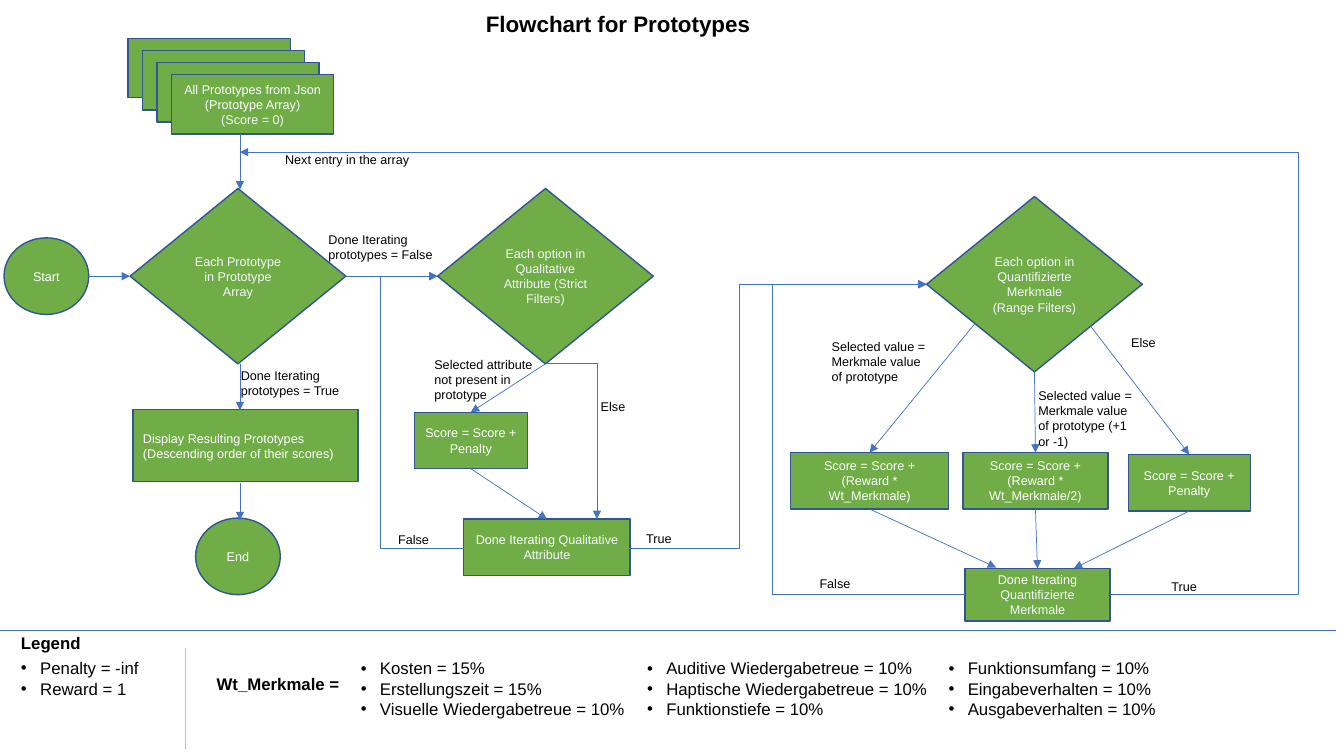
from dataclasses import dataclass
from typing import Optional

from lxml.etree import SubElement
from pptx import Presentation
from pptx.dml.color import RGBColor
from pptx.enum.shapes import MSO_CONNECTOR, MSO_SHAPE
from pptx.enum.text import MSO_ANCHOR, MSO_AUTO_SIZE, PP_ALIGN
from pptx.oxml.ns import qn
from pptx.util import Inches, Pt


@dataclass(frozen=True)
class Theme:
    font: str = "Arial"
    node: str = "70AD47"
    border: str = "325491"
    arrow: str = "4472C4"
    divider: str = "BFBFBF"
    white: str = "FFFFFF"
    pale: str = "F4F7FA"
    black: str = "000000"
    small: float = 9
    legend: float = 12
    title: float = 16


@dataclass(frozen=True)
class Node:
    name: str
    kind: MSO_SHAPE
    x: float
    y: float
    w: float
    h: float
    text: str = ""
    pale_text: str = ""
    align: PP_ALIGN = PP_ALIGN.CENTER


@dataclass(frozen=True)
class End:
    """A named node's side (0 top, 1 left, 2 bottom, 3 right) or a free point."""
    x: float = 0
    y: float = 0
    node: str = ""
    side: int = 0


@dataclass(frozen=True)
class Elbow:
    start: tuple[float, float]
    end: tuple[float, float]
    via_x: float


@dataclass(frozen=True)
class Label:
    text: str
    x: float
    y: float
    w: float
    h: float = 0.25
    size: float = Theme.small
    bold: bool = False
    bullet: bool = False


T = Theme()
RECT, DIAMOND, OVAL = MSO_SHAPE.RECTANGLE, MSO_SHAPE.DIAMOND, MSO_SHAPE.OVAL
DIAMOND_SIZE, CIRCLE_SIZE, STACK_SIZE = (2.14, 1.74), (0.84, 0.76), (1.61, 0.59)
SPINE_X = 2.38

STACK = [Node(f"sheet {i}", RECT, 1.27 + 0.143 * i, 0.38 + 0.12 * i, *STACK_SIZE)
         for i in range(3)]
STACK.append(Node("prototypes", RECT, 1.7, 0.74, *STACK_SIZE,
                  "All Prototypes from Json\n(Prototype Array)\n", "(Score = 0)"))

NODES = [
    Node("start", OVAL, 0.04, 2.36, *CIRCLE_SIZE, "Start"),
    Node("end", OVAL, 1.94, 5.14, *CIRCLE_SIZE, "End"),
    Node("each prototype", DIAMOND, 1.29, 1.87, *DIAMOND_SIZE,
         pale_text="Each Prototype in Prototype Array"),
    Node("qualitative", DIAMOND, 4.34, 1.87, *DIAMOND_SIZE,
         pale_text="Each option in Qualitative Attribute (Strict Filters)"),
    Node("quantified", DIAMOND, 9.19, 1.95, *DIAMOND_SIZE,
         pale_text="Each option in Quantifizierte Merkmale (Range Filters)"),
    Node("display", RECT, 1.32, 4.06, 2.23, 0.72,
         "Display Resulting Prototypes (Descending order of their scores)",
         align=PP_ALIGN.LEFT),
    Node("strict penalty", RECT, 4.11, 4.09, 1.12, 0.56, "Score = Score + Penalty"),
    Node("qualitative done", RECT, 4.6, 5.15, 1.65, 0.56,
         "Done Iterating ", "Qualitative Attribute"),
    Node("full reward", RECT, 7.84, 4.49, 1.57, 0.56,
         "Score = Score + (Reward * Wt_Merkmale)"),
    Node("half reward", RECT, 9.55, 4.49, 1.44, 0.56,
         "Score = Score + (Reward * Wt_Merkmale/2)"),
    Node("range penalty", RECT, 11.19, 4.51, 1.21, 0.56, "Score = Score + Penalty"),
    Node("quantified done", RECT, 9.57, 5.64, 1.44, 0.52,
         "Done Iterating ", "Quantifizierte Merkmale"),
]

ARROWS = [
    (End(SPINE_X, 1.33), End(SPINE_X, 1.88)),
    (End(SPINE_X, 3.61), End(SPINE_X, 4.07)),
    (End(SPINE_X, 4.79), End(SPINE_X, 5.16)),
    (End(0.88, 2.74), End(node="each prototype", side=1)),
    (End(node="each prototype", side=3), End(node="qualitative", side=1)),
    (End(node="qualitative", side=2), End(node="strict penalty")),
    (End(node="strict penalty", side=2), End(node="qualitative done")),
    (End(9.67, 3.21), End(node="full reward")),
    (End(node="quantified", side=2), End(node="half reward")),
    (End(10.82, 3.24), End(node="range penalty")),
    (End(node="full reward", side=2), End(9.88, 5.63)),
    (End(node="half reward", side=2), End(node="quantified done")),
    (End(node="range penalty", side=2), End(10.65, 5.64)),
]

ELBOWS = [
    Elbow((4.6, 5.44), (4.34, 2.74), 3.77),
    Elbow((6.24, 5.44), (9.19, 2.82), 7.33),
    Elbow((9.57, 5.9), (9.19, 2.82), 7.66),
    Elbow((11.01, 5.9), (SPINE_X, 1.51), 12.88),
]

LABELS = [
    Label("Flowchart for Prototypes", 4.72, 0.05, 3.43, 0.37, T.title, bold=True),
    Label("Done Iterating prototypes = True", 2.29, 3.6, 1.2, 0.4),
    Label("Done Iterating prototypes = False", 3.16, 2.25, 1.24, 0.4),
    Label("True", 6.31, 5.22, 1.02),
    Label("False", 3.85, 5.23, 1.02),
    Label("False", 8.03, 5.66, 1.02),
    Label("True", 11.52, 5.69, 1.02),
    Label("Next entry in the array", 2.73, 1.46, 1.56),
    Label("Else", 5.86, 3.91, 1.02),
    Label("Else", 11.12, 3.27, 1.02),
    Label("Selected attribute not present in prototype", 4.21, 3.49, 1.24, 0.56),
    Label("Selected value = Merkmale value of prototype", 8.15, 3.31, 1.16, 0.56),
    Label("Selected value = Merkmale value of prototype (+1 or -1)",
          10.2, 3.8, 1.21, 0.71),
    Label("Legend", 0.11, 6.23, 1.2, 0.3, T.legend, bold=True),
    Label("Wt_Merkmale =", 2.05, 6.63, 1.68, 0.3, T.legend, bold=True),
    Label("Penalty = -inf\nReward = 1", 0.11, 6.48, 1.95, 0.5, T.legend, bullet=True),
    Label("Kosten = 15%\nErstellungszeit = 15%\nVisuelle Wiedergabetreue = 10%",
          3.48, 6.48, 2.89, 0.71, T.legend, bullet=True),
    Label("Auditive Wiedergabetreue = 10%\nHaptische Wiedergabetreue = 10%\n"
          "Funktionstiefe = 10%", 6.32, 6.48, 3.04, 0.71, T.legend, bullet=True),
    Label("Funktionsumfang = 10%\nEingabeverhalten = 10%\nAusgabeverhalten = 10%",
          9.31, 6.48, 2.89, 0.71, T.legend, bullet=True),
]


def write(tf, text: str, *, pale_text: str = "", color: str = T.black,
          size: float = T.small, bold: bool = False, bullet: bool = False,
          align: PP_ALIGN = PP_ALIGN.LEFT) -> None:
    """Each newline starts a paragraph; pale_text continues the last one."""
    tf.word_wrap = True
    p = tf.paragraphs[0]
    for part, ink in ((text, color), (pale_text, T.pale)):
        for i, line in enumerate(part.split("\n")):
            if i:
                p = tf.add_paragraph()
            if line:
                r = p.add_run()
                r.text = line
                r.font.name, r.font.size, r.font.bold = T.font, Pt(size), bold
                r.font.color.rgb = RGBColor.from_string(ink)
    for p in tf.paragraphs:
        p.alignment = align
        if bullet:
            pPr = p._p.get_or_add_pPr()
            pPr.set("marL", str(Inches(0.19)))
            pPr.set("indent", str(Inches(-0.19)))
            SubElement(pPr, qn("a:buFont"), typeface=T.font)
            SubElement(pPr, qn("a:buChar"), char="•")


def draw_node(shapes, node: Node):
    sp = shapes.add_shape(node.kind, *map(Inches, (node.x, node.y, node.w, node.h)))
    sp.shadow.inherit = False
    sp.fill.solid()
    sp.fill.fore_color.rgb = RGBColor.from_string(T.node)
    sp.line.color.rgb = RGBColor.from_string(T.border)
    sp.line.width = Pt(1)
    sp.text_frame.vertical_anchor = MSO_ANCHOR.MIDDLE
    write(sp.text_frame, node.text, pale_text=node.pale_text, color=T.white,
          align=node.align)
    return sp


def draw_label(shapes, label: Label) -> None:
    tf = shapes.add_textbox(*map(Inches, (label.x, label.y, label.w, label.h))).text_frame
    tf.auto_size = MSO_AUTO_SIZE.SHAPE_TO_FIT_TEXT
    write(tf, label.text, size=label.size, bold=label.bold, bullet=label.bullet)


def draw_line(shapes, start: tuple[float, float], end: tuple[float, float], *,
              color: str = T.arrow, width: float = 0.5, arrow: bool = True,
              bend: Optional[float] = None):
    kind = MSO_CONNECTOR.STRAIGHT if bend is None else MSO_CONNECTOR.ELBOW
    cxn = shapes.add_connector(kind, *map(Inches, (*start, *end)))
    cxn.line.color.rgb = RGBColor.from_string(color)
    cxn.line.width = Pt(width)
    spPr = cxn._element.spPr
    if arrow:
        SubElement(spPr.find(qn("a:ln")), qn("a:tailEnd"), type="triangle")
    if bend is not None:
        guides = spPr.find(qn("a:prstGeom")).find(qn("a:avLst"))
        SubElement(guides, qn("a:gd"), name="adj1", fmla=f"val {round(bend * 100000)}")
    SubElement(spPr, qn("a:effectLst"))
    return cxn


def draw_elbow(shapes, elbow: Elbow) -> None:
    (x1, _), (x2, _) = elbow.start, elbow.end
    draw_line(shapes, elbow.start, elbow.end, bend=(elbow.via_x - x1) / (x2 - x1))


def draw_upright_elbow(shapes, start: tuple[float, float],
                       end: tuple[float, float]) -> None:
    """Runs sideways from start, then arrives vertically: a quarter-turned elbow."""
    (x1, y1), (x2, y2) = start, end
    cx, cy, dx, dy = (x1 + x2) / 2, (y1 + y2) / 2, (x2 - x1) / 2, (y2 - y1) / 2
    cxn = draw_line(shapes, (cx + dy, cy - dx), (cx - dy, cy + dx), bend=0)
    cxn._element.spPr.find(qn("a:xfrm")).set("rot", str(270 * 60000))


def main() -> None:
    prs = Presentation()
    prs.slide_width, prs.slide_height = Inches(13.33), Inches(7.5)
    s = prs.slides.add_slide(prs.slide_layouts[6])

    # Flowchart nodes
    group = s.shapes.add_group_shape()
    for node in STACK:
        draw_node(group.shapes, node)
    placed = {node.name: draw_node(s.shapes, node) for node in NODES}

    # Flow arrows
    for start, end in ARROWS:
        cxn = draw_line(s.shapes, (start.x, start.y), (end.x, end.y))
        if start.node:
            cxn.begin_connect(placed[start.node], start.side)
        if end.node:
            cxn.end_connect(placed[end.node], end.side)
    for elbow in ELBOWS:
        draw_elbow(s.shapes, elbow)
    draw_upright_elbow(s.shapes, (5.41, 3.61), (5.92, 5.15))

    # Legend rules
    draw_line(s.shapes, (13.25, 6.25), (0, 6.25), arrow=False)
    draw_line(s.shapes, (1.84, 6.43), (1.84, 7.43), color=T.divider, width=1.25,
              arrow=False)

    # Title, branch labels and legend text
    for label in LABELS:
        draw_label(s.shapes, label)

    prs.save("out.pptx")


if __name__ == "__main__":
    main()
